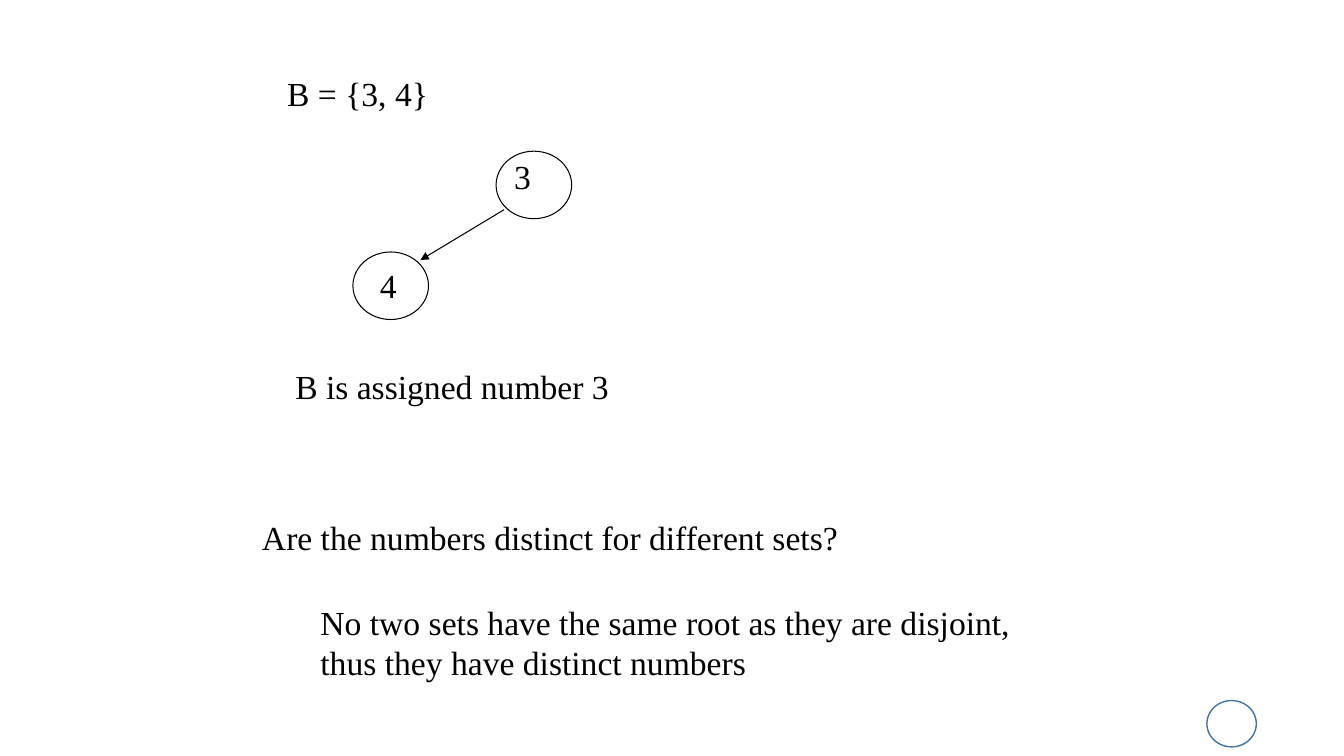
from lxml import etree
from pptx import Presentation
from pptx.dml.color import RGBColor
from pptx.enum import shapes, text
from pptx.oxml import ns
from pptx.util import Inches, Pt

COLORS = {"ink": "000000", "badge": "43739E"}
FONT = {"name": "Times New Roman", "size": Pt(24)}

prs = Presentation()
prs.slide_width, prs.slide_height = Inches(13.33), Inches(7.5)
slide = prs.slides.add_slide(prs.slide_layouts[6])


def add_circle(left, top, width, height, color, weight):
    circle = slide.shapes.add_shape(
        shapes.MSO_SHAPE.OVAL, Inches(left), Inches(top), Inches(width), Inches(height))
    circle.shadow.inherit = False
    circle.fill.background()
    circle.line.color.rgb = RGBColor.from_string(COLORS[color])
    circle.line.width = Pt(weight)


def add_label(wording, left, top, width, height=0.5):
    frame = slide.shapes.add_textbox(
        Inches(left), Inches(top), Inches(width), Inches(height)).text_frame
    frame.word_wrap = True
    frame.auto_size = text.MSO_AUTO_SIZE.SHAPE_TO_FIT_TEXT
    run = frame.paragraphs[0].add_run()
    run.text = wording
    for attribute, value in FONT.items():
        setattr(run.font, attribute, value)
    run.font.color.rgb = RGBColor.from_string(COLORS["ink"])


add_circle(11.97, 6.95, 0.49, 0.46, "badge", 1)

# Tree of set B: root 3 with child 4
for left, top in [(4.92, 1.5), (3.5, 2.5)]:
    add_circle(left, top, 0.75, 0.67, "ink", 0.75)

edge = slide.shapes.add_connector(
    shapes.MSO_CONNECTOR.STRAIGHT, Inches(5), Inches(2.08), Inches(4.17), Inches(2.58))
edge.line.color.rgb = RGBColor.from_string(COLORS["ink"])
edge.line.width = Pt(0.75)
etree.SubElement(edge.line._get_or_add_ln(), ns.qn("a:tailEnd"), type="triangle")
etree.SubElement(edge._element.spPr, ns.qn("a:effectLst"))

for label in [
    ("B = {3, 4}", 2.75, 0.67, 3.58),
    ("3", 5, 1.5, 1.33),
    ("4", 3.67, 2.58, 1.33),
    ("B is assigned number 3", 2.83, 3.58, 5.75),
    ("Are the numbers distinct for different sets?", 2.5, 5.08, 7.58),
    ("No two sets have the same root as they are disjoint, thus they have distinct numbers",
     3.08, 5.92, 7.33, 0.91),
]:
    add_label(*label)

prs.save("out.pptx")
